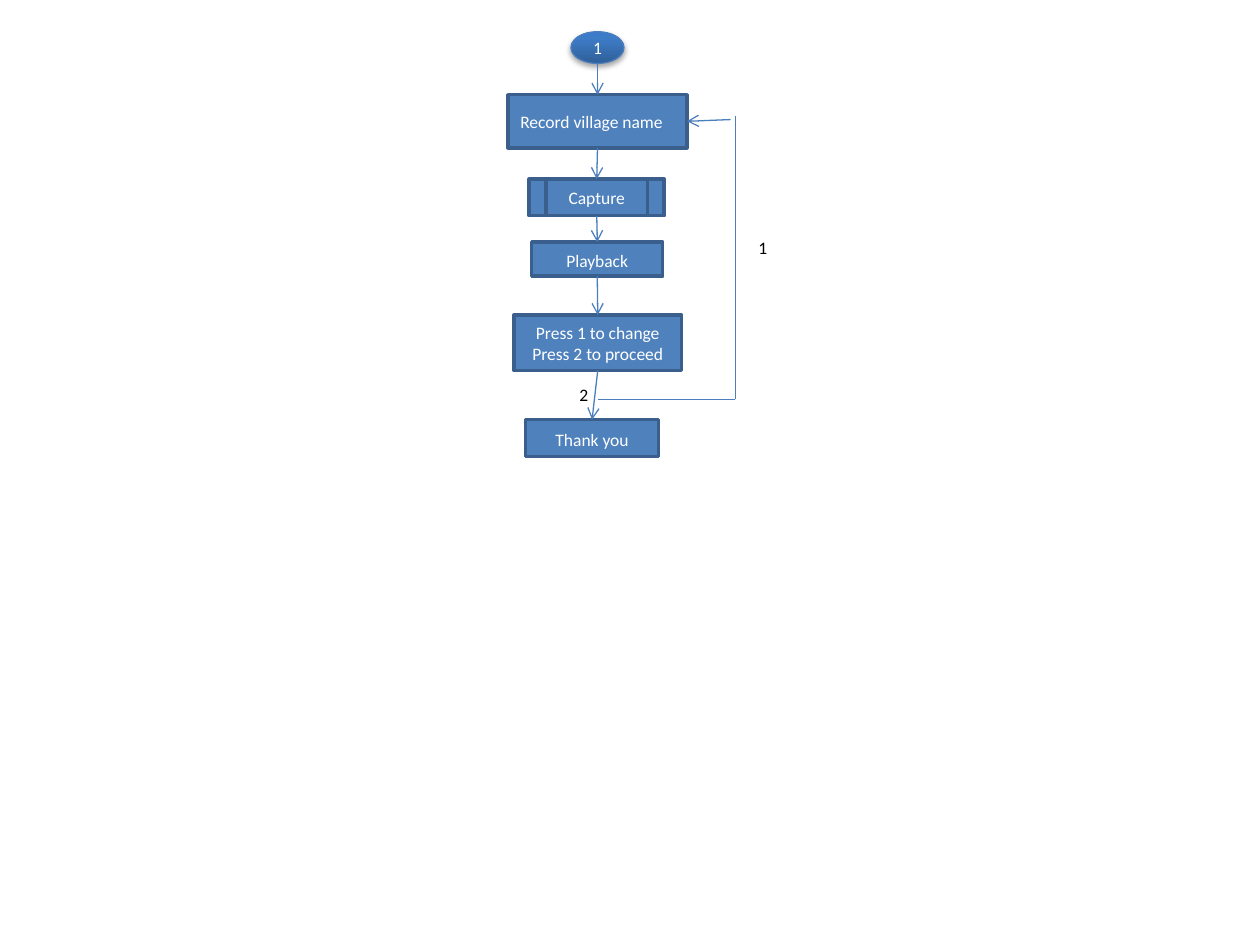
from lxml import etree
from pptx import Presentation
from pptx import util as u
from pptx.dml import color
from pptx.enum import shapes, text
from pptx.oxml import ns, parse_xml

COLORS = {"box": "4F81BD", "border": "3A5F8C", "line": "4B7EBC",
          "light": "FFFFFF", "dark": "000000", "shadow": "000000"}
START_GRADIENT = [(0, "2F5F99"), (80, "3D7CC7"), (100, "3A7CCB")]
DRAWING = ns.nsdecls("a")
PROCESS = shapes.MSO_SHAPE.FLOWCHART_PROCESS
PREDEFINED = shapes.MSO_SHAPE.FLOWCHART_PREDEFINED_PROCESS
LEFT, CENTER = text.PP_ALIGN.LEFT, text.PP_ALIGN.CENTER
TOP, BOTTOM, RIGHT = 0, 2, 3

STEPS = [
    (PROCESS, (10.24, 1.91, 3.61, 1.07), ["Record village name "], LEFT, False),
    (PREDEFINED, (10.67, 3.61, 2.72, 0.74), ["Capture"], CENTER, False),
    (PROCESS, (10.72, 4.88, 2.64, 0.69), ["Playback"], CENTER, True),
    (PROCESS, (10.36, 6.35, 3.38, 1.12),
     ["Press 1 to change", "Press 2 to proceed"], CENTER, False),
    (PROCESS, (10.59, 8.46, 2.69, 0.74), ["Thank you"], CENTER, True),
]


def rgb(name):
    return color.RGBColor.from_string(COLORS[name])


def write_text(shape, lines, color_name, alignment, spaced=False):
    frame = shape.text_frame
    frame.word_wrap = True
    for index, line in enumerate(lines):
        paragraph = frame.paragraphs[0] if index == 0 else frame.add_paragraph()
        paragraph.alignment = alignment
        if spaced:
            paragraph.line_spacing = 1.15
            paragraph.space_after = u.Pt(10)
        run = paragraph.add_run()
        run.text = line
        run.font.size = u.Pt(10)
        run.font.name = "Calibri"
        run.font.color.rgb = rgb(color_name)


def add_box(slide, kind, box, lines, alignment=CENTER, spaced=False):
    shape = slide.shapes.add_shape(kind, *map(u.Cm, box))
    shape.shadow.inherit = False
    shape.fill.solid()
    shape.fill.fore_color.rgb = rgb("box")
    shape.line.color.rgb = rgb("border")
    shape.line.width = u.Pt(2)
    shape.text_frame.vertical_anchor = text.MSO_ANCHOR.MIDDLE
    write_text(shape, lines, "light", alignment, spaced)
    return shape


def add_start(slide, box, label):
    shape = add_box(slide, shapes.MSO_SHAPE.OVAL, box, [label])
    shape.line.color.rgb = rgb("line")
    shape.line.width = u.Pt(0.75)
    properties = shape.fill._xPr
    stops = "".join(f'<a:gs pos="{position * 1000}"><a:srgbClr val="{value}"/></a:gs>'
                    for position, value in START_GRADIENT)
    gradient = parse_xml(f'<a:gradFill {DRAWING} rotWithShape="1"><a:gsLst>{stops}</a:gsLst>'
                         '<a:lin ang="16200000" scaled="0"/></a:gradFill>')
    properties.replace(properties.find(ns.qn("a:solidFill")), gradient)
    shadow = parse_xml(
        f'<a:outerShdw {DRAWING} blurRad="{u.Pt(3.1)}" dist="{u.Pt(1.8)}" dir="5400000" '
        f'rotWithShape="0"><a:srgbClr val="{COLORS["shadow"]}"><a:alpha val="35000"/>'
        '</a:srgbClr></a:outerShdw>')
    properties.find(ns.qn("a:effectLst")).append(shadow)
    return shape


def add_line(slide, start, end, arrow=False):
    connector = slide.shapes.add_connector(shapes.MSO_CONNECTOR.STRAIGHT, *start, *end)
    connector.line.color.rgb = rgb("line")
    connector.line.width = u.Pt(0.75)
    if arrow:
        etree.SubElement(connector.line._get_or_add_ln(), ns.qn("a:tailEnd"), type="arrow")
    etree.SubElement(connector._element.spPr, ns.qn("a:effectLst"))
    return connector


def add_label(slide, left, top, label):
    shape = slide.shapes.add_textbox(u.Cm(left), u.Cm(top), u.Cm(0.91), u.Cm(0.69))
    write_text(shape, [label], "dark", LEFT)
    shape.text_frame.auto_size = text.MSO_AUTO_SIZE.SHAPE_TO_FIT_TEXT


def add_flow(slide):
    start = add_start(slide, (11.51, 0.64, 1.07, 0.64), "1")
    steps = [add_box(slide, *step) for step in STEPS]
    middle = start.left + start.width // 2
    entry = add_line(slide, (middle, start.top + start.height), (middle, steps[0].top), True)
    entry.end_connect(steps[0], TOP)
    for upper, lower in zip(steps, steps[1:]):
        arrow = add_line(slide, (0, 0), (0, 0), True)
        arrow.begin_connect(upper, BOTTOM)
        arrow.end_connect(lower, TOP)
    return steps


def add_return_loop(slide, target):
    branch = (u.Cm(12.06), u.Cm(8.05))
    corner = (u.Cm(14.82), u.Cm(8.05))
    top = (u.Cm(14.82), u.Cm(2.33))
    add_line(slide, branch, corner)
    add_line(slide, corner, top)
    back = add_line(slide, (u.Cm(14.73), u.Cm(2.41)), (0, 0), True)
    back.end_connect(target, RIGHT)


def build():
    presentation = Presentation()
    presentation.slide_width = u.Cm(25.4)
    presentation.slide_height = u.Cm(19.05)
    slide = presentation.slides.add_slide(presentation.slide_layouts[6])
    steps = add_flow(slide)
    add_return_loop(slide, steps[0])
    add_label(slide, 11.43, 7.62, "2")
    add_label(slide, 15.04, 4.65, "1")
    presentation.save("out.pptx")


build()
